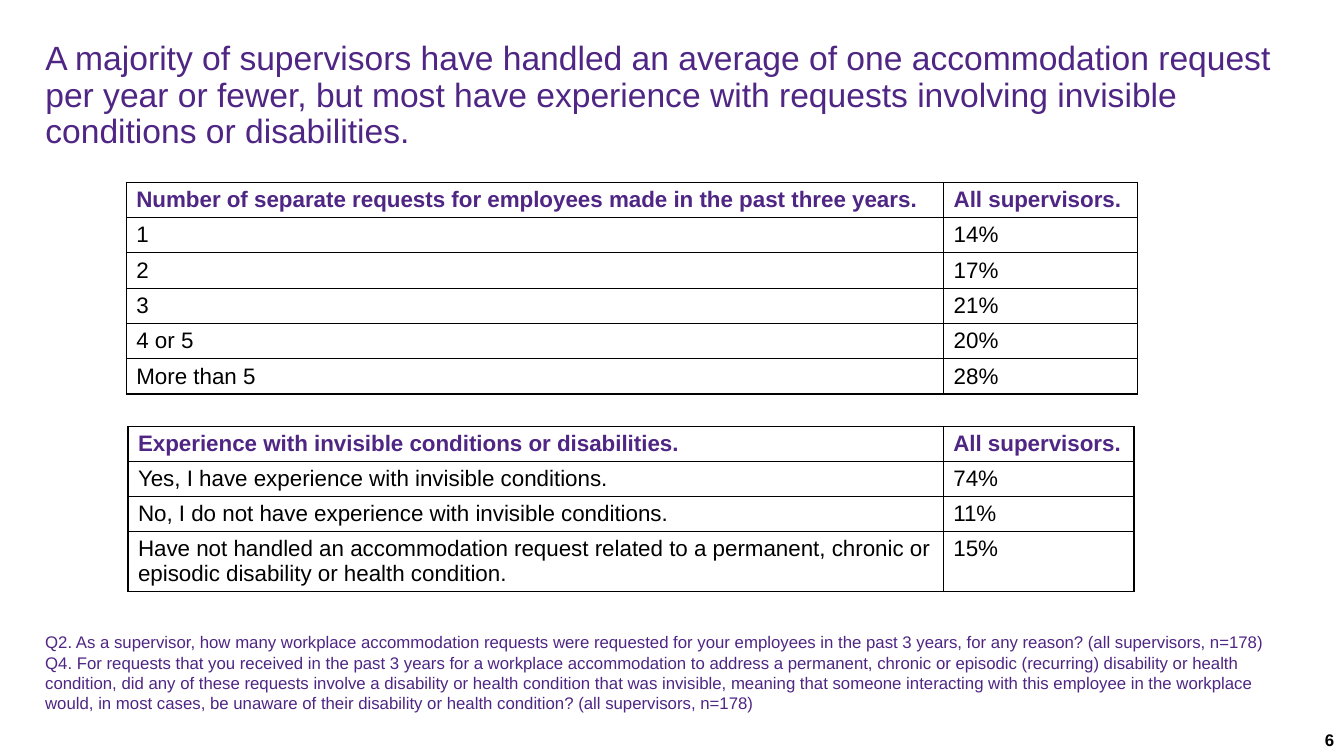
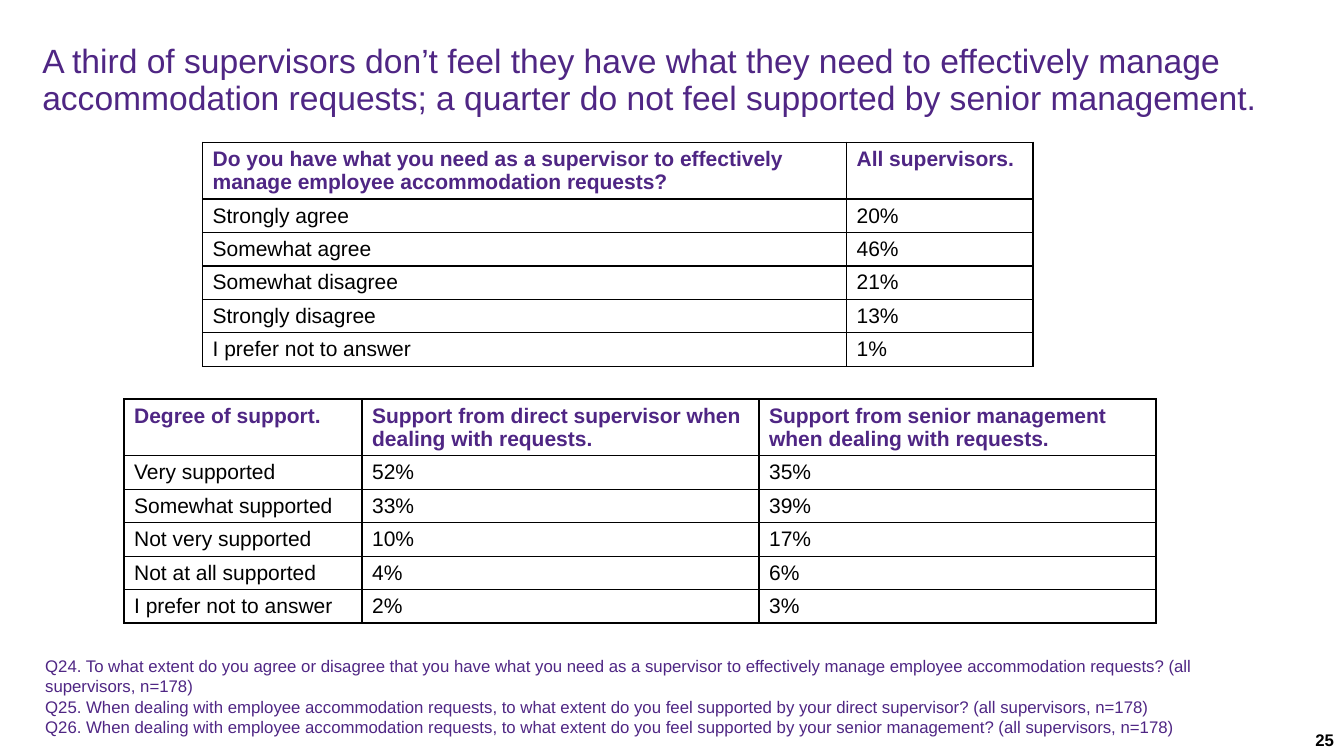
from dataclasses import dataclass

from lxml.etree import SubElement
from pptx import Presentation
from pptx.dml.color import RGBColor as Rgb
from pptx.enum.text import MSO_ANCHOR as Anchor, MSO_AUTO_SIZE as Fit, PP_ALIGN as Align
from pptx.oxml.ns import qn
from pptx.util import Pt


@dataclass(frozen=True)
class Theme:
    font: str = "Arial"
    plum: Rgb = Rgb(0x4F, 0x26, 0x84)
    black: Rgb = Rgb(0, 0, 0)
    white: Rgb = Rgb(255, 255, 255)
    head: int = 24
    note: int = 12
    rule: int = 1


def write(frame, *lines, size, color, font=Theme.font, bold=False,
          align=Align.LEFT, space=None):
    """Fill a text frame, one paragraph for each line."""
    for i, line in enumerate(lines):
        para = frame.add_paragraph() if i else frame.paragraphs[0]
        para.text = line
        para.alignment = align
        if space:
            para.line_spacing = space
        face = para.font
        face.name, face.size, face.bold = font, Pt(size), bold
        face.color.rgb = color


class Deck:
    def __init__(self, theme):
        self.theme = theme
        self.file = Presentation()
        self.file.slide_width, self.file.slide_height = Pt(960), Pt(540)
        self.slide = None

    # Slide with its title
    def start(self, text, left, top, width, height):
        self.slide = self.file.slides.add_slide(self.file.slide_layouts[5])
        title = self.slide.shapes.title
        title.left, title.top = Pt(left), Pt(top)
        title.width, title.height = Pt(width), Pt(height)
        frame = title.text_frame
        frame.word_wrap, frame.auto_size = True, Fit.NONE
        frame.vertical_anchor = Anchor.MIDDLE
        frame.margin_left = frame.margin_right = 0
        frame.margin_top = frame.margin_bottom = Pt(1.5)
        write(frame, text, size=self.theme.head, color=self.theme.plum, space=0.9)

    def box(self, *lines, left, top, width, height, anchor=Anchor.TOP, **form):
        shape = self.slide.shapes.add_textbox(Pt(left), Pt(top), Pt(width), Pt(height))
        frame = shape.text_frame
        frame.word_wrap, frame.vertical_anchor = True, anchor
        write(frame, *lines, size=self.theme.note, **form)

    # Survey questions and page number
    def notes(self, *lines, top, width):
        self.box(*lines, left=25.2, top=top, width=width, height=65.5,
                 color=self.theme.plum)

    def page(self, num):
        self.box(str(num), left=744, top=517, width=216, height=23,
                 anchor=Anchor.MIDDLE, color=self.theme.black, bold=True,
                 align=Align.RIGHT)

    # Ruled table: the first row holds the heads
    def table(self, rows, left, top, cols, highs, size):
        grid = self.slide.shapes.add_table(
            len(rows), len(cols), Pt(left), Pt(top), Pt(sum(cols)), Pt(sum(highs))).table
        grid.horz_banding = False
        for col, wide in zip(grid.columns, cols):
            col.width = Pt(wide)
        for i, (row, high) in enumerate(zip(rows, highs)):
            grid.rows[i].height = Pt(high)
            for j, text in enumerate(row):
                self.cell(grid.cell(i, j), text, size, head=i == 0)

    def cell(self, cell, text, size, head):
        look = self.theme
        self.edge(cell)
        cell.fill.solid()
        cell.fill.fore_color.rgb = look.white
        cell.vertical_anchor = Anchor.TOP if head or len(text) > 80 else Anchor.MIDDLE
        write(cell.text_frame, text, size=size, bold=head,
              color=look.plum if head else look.black)

    def edge(self, cell):
        props = cell._tc.get_or_add_tcPr()
        for side in ("lnL", "lnR", "lnT", "lnB"):
            line = SubElement(props, qn(f"a:{side}"), w=str(Pt(self.theme.rule)))
            fill = SubElement(line, qn("a:solidFill"))
            SubElement(fill, qn("a:srgbClr"), val=str(self.theme.black))

    def top(self, table, row, col):
        table.cell(row, col).vertical_anchor = Anchor.TOP


def main():
    deck = Deck(Theme())

    # Requests handled
    deck.start("A majority of supervisors have handled an average of one accommodation "
               "request per year or fewer, but most have experience with requests "
               "involving invisible conditions or disabilities.", 32.4, 28, 902, 81.4)
    deck.table([
        ("Number of separate requests for employees made in the past three years.",
         "All supervisors."),
        ("1", "14%"),
        ("2", "17%"),
        ("3", "21%"),
        ("4 or 5", "20%"),
        ("More than 5", "28%"),
    ], 90.2, 130.2, (583.8, 138.4), [25.2] * 6, 16)
    deck.table([
        ("Experience with invisible conditions or disabilities.", "All supervisors."),
        ("Yes, I have experience with invisible conditions.", "74%"),
        ("No, I do not have experience with invisible conditions.", "11%"),
        ("Have not handled an accommodation request related to a permanent, chronic or "
         "episodic disability or health condition.", "15%\v"),
    ], 91.4, 304.6, (582.4, 136.2), [25] * 3 + [43], 16)
    deck.notes(
        "Q2. As a supervisor, how many workplace accommodation requests were requested "
        "for your employees in the past 3 years, for any reason? (all supervisors, n=178)",
        "Q4. For requests that you received in the past 3 years for a workplace "
        "accommodation to address a permanent, chronic or episodic (recurring) disability "
        "or health condition, did any of these requests involve a disability or health "
        "condition that was invisible, meaning that someone interacting with this employee "
        "in the workplace would, in most cases, be unaware of their disability or health "
        "condition? (all supervisors, n=178)", top=448, width=900)
    deck.page(6)

    # Support received
    deck.start("A third of supervisors don’t feel they have what they need to effectively "
               "manage accommodation requests; a quarter do not feel supported by senior "
               "management.", 30.2, 30.2, 905.8, 55.4)
    highs = [40.5] + [23.9] * 5
    deck.table([
        ("Do you have what you need as a supervisor to effectively manage employee "
         "accommodation requests?", "All supervisors."),
        ("Strongly agree", "20%"),
        ("Somewhat agree", "46%"),
        ("Somewhat disagree", "21%"),
        ("Strongly disagree", "13%"),
        ("I prefer not to answer", "1%"),
    ], 144.7, 101.6, (460, 133.2), highs, 15)
    deck.table([
        ("Degree of support.", "Support from direct supervisor when dealing with requests.",
         "Support from senior management when dealing with requests."),
        ("Very supported", "52%", "35%"),
        ("Somewhat supported", "33%", "39%"),
        ("Not very supported", "10%", "17%"),
        ("Not at all supported", "4%", "6%"),
        ("I prefer not to answer", "2%", "3%"),
    ], 88.6, 285, (170, 283.6, 283.6), highs, 15)
    deck.notes(
        "Q24. To what extent do you agree or disagree that you have what you need as a "
        "supervisor to effectively manage employee accommodation requests? "
        "(all supervisors, n=178)",
        "Q25. When dealing with employee accommodation requests, to what extent do you feel "
        "supported by your direct supervisor? (all supervisors, n=178)",
        "Q26. When dealing with employee accommodation requests, to what extent do you feel "
        "supported by your senior management? (all supervisors, n=178)",
        top=465, width=888.5)
    deck.page(25)

    deck.file.save("out.pptx")


if __name__ == "__main__":
    main()
